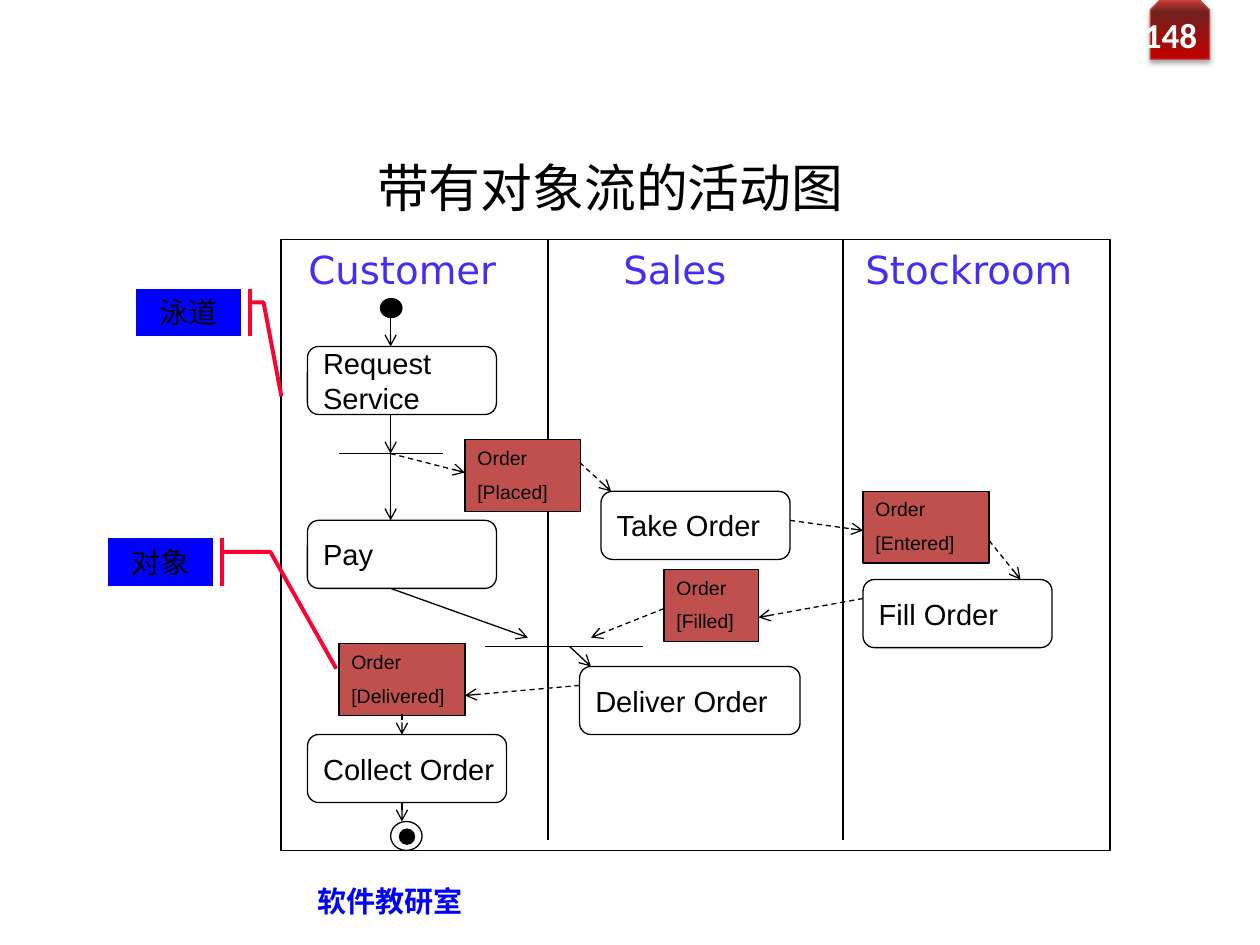
from copy import deepcopy
from dataclasses import dataclass

from lxml.etree import SubElement as Sub
from pptx import Presentation
from pptx.dml.color import RGBColor as Rgb
from pptx.enum.dml import MSO_LINE_DASH_STYLE as Dash
from pptx.enum.shapes import MSO_CONNECTOR_TYPE as Conn, MSO_SHAPE as Kind
from pptx.enum.text import MSO_ANCHOR as Anchor, PP_ALIGN as Align
from pptx.oxml.ns import qn
from pptx.util import Inches, Pt


@dataclass(frozen=True)
class Theme:
    ink: str = "000000"
    white: str = "FFFFFF"
    blue: str = "0000FF"
    lane: str = "452DF5"
    brick: str = "C0504D"
    red: str = "FF0033"
    edge: str = "BF4C48"
    fade: tuple = ((0, "C00000"), (0.8, "70201E"), (1, "CE3B37"))
    sans: str = "Arial"
    body: str = "Calibri"
    wide: str = "DejaVu Sans"
    head: float = 29.6
    name: float = 22.1
    page: float = 20
    text: float = 16.6
    small: float = 11.1
    thin: float = 0.75
    bold: float = 2.25


@dataclass(frozen=True)
class Box:
    x: float
    y: float
    w: float
    h: float

    def sub(self, x, y, w, h):
        return Box(self.x + x, self.y + y, w, h)

    def emu(self):
        return [Inches(v) for v in (self.x, self.y, self.w, self.h)]


T = Theme()


def write(frame, lines, size, font, color=T.ink, align=Align.LEFT,
          anchor=Anchor.TOP, wrap=True, bold=False, gap=0):
    frame.word_wrap = wrap
    frame.vertical_anchor = anchor
    for i, line in enumerate(lines):
        para = frame.paragraphs[0] if i == 0 else frame.add_paragraph()
        para.alignment = align
        para.space_before = Pt(gap if i else 0)
        run = para.add_run()
        run.text = line
        run.font.size = Pt(size)
        run.font.name = font
        run.font.bold = bold
        run.font.color.rgb = Rgb.from_string(color)


def label(slide, box, text, size, font, color, **style):
    frame = slide.shapes.add_textbox(*box.emu()).text_frame
    write(frame, [text], size, font, color, **style)


def shape(slide, kind, box, fill=None, edge=T.ink, width=T.thin):
    item = slide.shapes.add_shape(kind, *box.emu())
    item.shadow.inherit = False
    if fill:
        item.fill.solid()
        item.fill.fore_color.rgb = Rgb.from_string(fill)
    else:
        item.fill.background()
    item.line.color.rgb = Rgb.from_string(edge)
    item.line.width = Pt(width)
    return item


def line(slide, box, x1, y1, x2, y2, dash=False, tip=False):
    ends = (box.x + x1, box.y + y1, box.x + x2, box.y + y2)
    item = slide.shapes.add_connector(Conn.STRAIGHT, *map(Inches, ends))
    item.line.color.rgb = Rgb.from_string(T.ink)
    item.line.width = Pt(T.thin)
    if dash:
        item.line.dash_style = Dash.DASH
    props = item._element.spPr
    if tip:
        Sub(props.find(qn("a:ln")), qn("a:tailEnd"), type="arrow")
    Sub(props, qn("a:effectLst"))


def badge(slide, box):
    tag = shape(slide, Kind.SNIP_2_SAME_RECTANGLE, box, edge=T.edge)
    tag.fill.gradient()
    tag.fill.gradient_angle = 90
    props = tag._element.spPr
    stops = props.find(".//" + qn("a:gsLst"))
    stops.append(deepcopy(stops[0]))
    for stop, (pos, color) in zip(tag.fill.gradient_stops, T.fade):
        stop.position = pos
        stop.color.rgb = Rgb.from_string(color)
    glow = Sub(props.find(qn("a:effectLst")), qn("a:outerShdw"),
               blurRad=str(Pt(3.1)), dist=str(Pt(1.8)), dir="5400000", rotWithShape="0")
    tint = Sub(glow, qn("a:srgbClr"), val=T.ink)
    Sub(tint, qn("a:alpha"), val="35000")
    label(slide, box.sub(-0.16, 0.07, 0.63, 0.4), "148", T.page, T.body, T.white,
          align=Align.RIGHT, anchor=Anchor.MIDDLE, bold=True)


def title(slide, box):
    head = slide.shapes.title
    head.left, head.top, head.width, head.height = box.emu()
    write(head.text_frame, ["带有对象流的活动图"], T.head, T.body,
          align=Align.CENTER, anchor=Anchor.MIDDLE)


def lanes(slide, box):
    shape(slide, Kind.RECTANGLE, box)
    for x in (2.12, 4.46):
        line(slide, box, x, 0, x, 4.77)
    for name, x, w in (("Customer", 0.12, 1.83), ("Sales", 2.62, 1.67),
                       ("Stockroom", 4.54, 2.08)):
        label(slide, box.sub(x, 0, w, 0.47), name, T.name, T.wide, T.lane)


def flow(slide, box):
    dots = ((0.79, 0.47, 0.17, 0.15, T.ink), (0.87, 4.62, 0.25, 0.23, None),
            (0.94, 4.68, 0.12, 0.12, T.ink))
    for *spot, fill in dots:
        shape(slide, Kind.OVAL, box.sub(*spot), fill)

    steps = (("Request\nService", 0.21, 0.85, 1.5), ("Pay", 0.21, 2.23, 1.5),
             ("Take Order", 2.54, 2, 1.5), ("Fill Order", 4.62, 2.7, 1.5),
             ("Deliver Order", 2.37, 3.39, 1.75), ("Collect Order", 0.21, 3.93, 1.58))
    for text, x, y, w in steps:
        step = shape(slide, Kind.ROUNDED_RECTANGLE, box.sub(x, y, w, 0.54))
        write(step.text_frame, text.split("\n"), T.text, T.sans,
              anchor=Anchor.MIDDLE, wrap=False)

    goods = (("Placed", 1.46, 1.59, 0.92), ("Entered", 4.62, 2, 1),
             ("Filled", 3.04, 2.62, 0.75), ("Delivered", 0.46, 3.21, 1))
    for state, x, y, w in goods:
        item = shape(slide, Kind.RECTANGLE, box.sub(x, y, w, 0.57), T.brick)
        write(item.text_frame, ["Order", f"[{state}]"], T.small, T.sans, gap=6)

    bars = ((0.46, 1.7, 1.29, 1.7), (1.62, 3.23, 2.87, 3.23))
    solid = ((0.87, 0.62, 0.87, 0.85), (0.87, 1.39, 0.87, 1.7),
             (0.87, 1.7, 0.87, 2.23), (0.87, 2.77, 1.96, 3.16),
             (2.29, 3.23, 2.46, 3.39), (0.96, 4.47, 0.96, 4.62))
    dashed = ((0.87, 1.7, 1.46, 1.85), (2.37, 1.77, 2.62, 2),
              (4.04, 2.23, 4.62, 2.31), (5.62, 2.39, 5.87, 2.7),
              (4.62, 2.85, 3.79, 3), (3.04, 2.93, 2.46, 3.16),
              (2.37, 3.54, 1.46, 3.62), (0.96, 3.77, 0.96, 3.93))
    for group, dash, tip in ((bars, False, False), (solid, False, True),
                             (dashed, True, True)):
        for ends in group:
            line(slide, box, *ends, dash=dash, tip=tip)


def note(slide, box, text, bend, end):
    item = shape(slide, Kind.LINE_CALLOUT_2_ACCENT_BAR, box, T.blue, T.red, T.bold)
    for i, value in enumerate((0.29, 1.09, 0.29, bend, *end)):
        item.adjustments[i] = value
    write(item.text_frame, [text], T.text, T.body, align=Align.CENTER)


def foot(slide, box):
    label(slide, box, "软件教研室", T.text, T.sans, T.blue,
          anchor=Anchor.MIDDLE, wrap=False, bold=True)


def main():
    deck = Presentation()
    deck.slide_width, deck.slide_height = Inches(10), Inches(7.5)
    slide = deck.slides.add_slide(deck.slide_layouts[5])
    chart = Box(2.23, 1.9, 6.58, 4.85)
    badge(slide, Box(9.13, 0, 0.47, 0.47))
    title(slide, Box(0.38, 1.13, 8.93, 0.71))
    lanes(slide, chart)
    flow(slide, chart)
    note(slide, Box(1.08, 2.29, 0.83, 0.38), "泳道", 1.22, (2.25, 1.39))
    note(slide, Box(0.86, 4.27, 0.83, 0.38), "对象", 1.55, (2.73, 2.18))
    foot(slide, Box(2.42, 6.95, 1.35, 0.4))
    deck.save("out.pptx")


if __name__ == "__main__":
    main()
